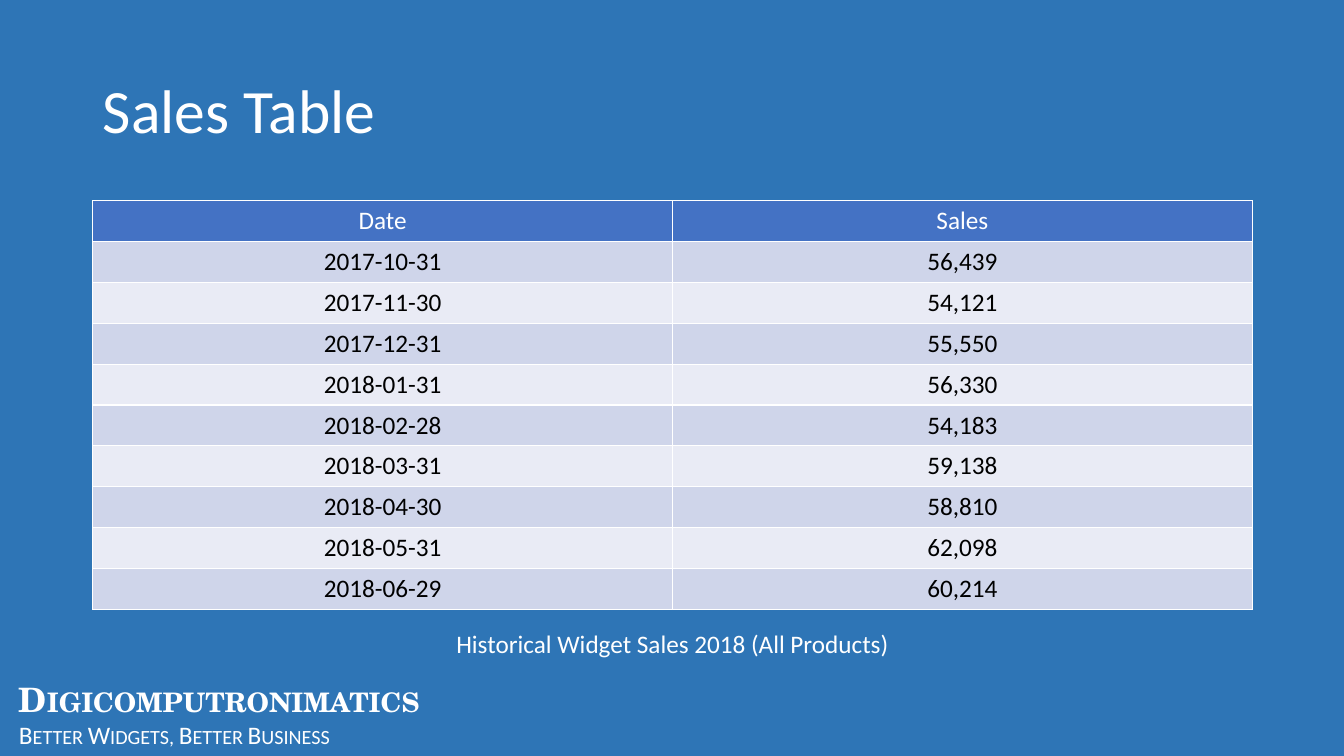
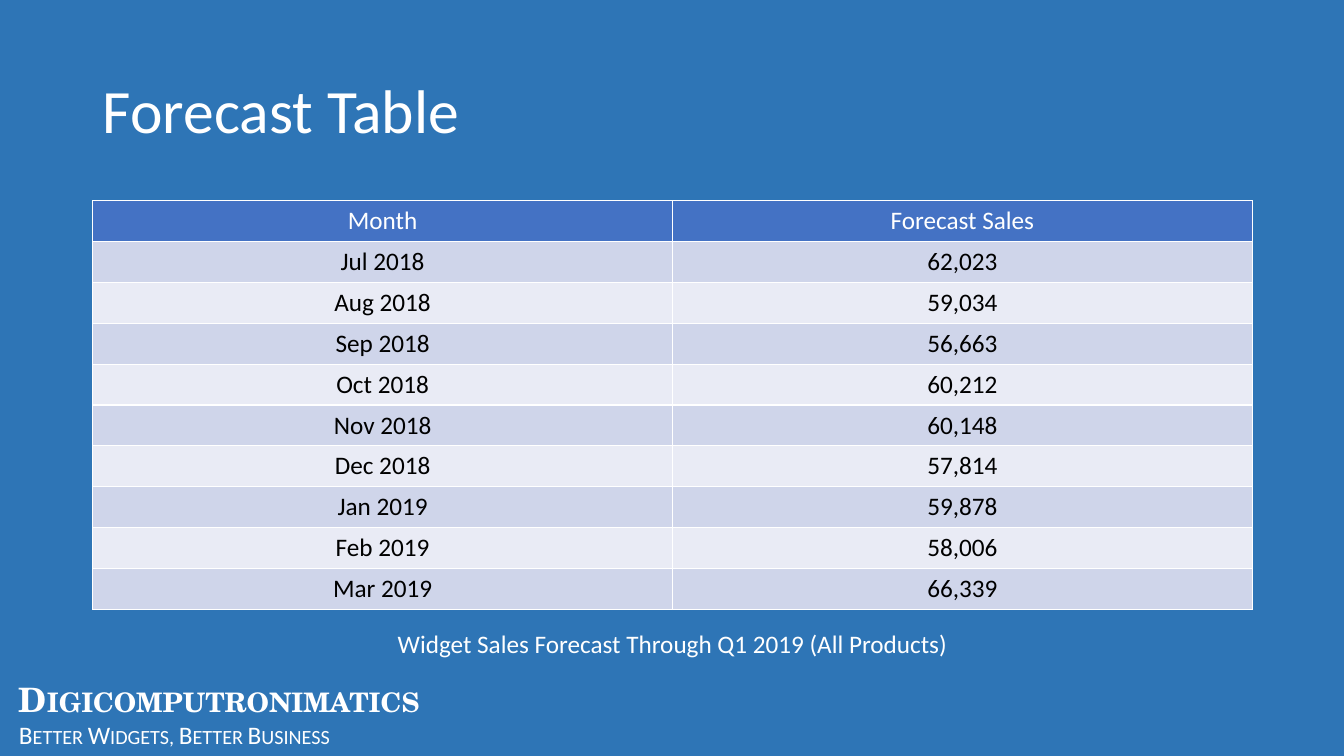
from dataclasses import dataclass

from pptx import Presentation
from pptx.dml.color import RGBColor as Rgb
from pptx.enum.text import MSO_ANCHOR as Anchor, MSO_AUTO_SIZE as AutoSize, PP_ALIGN as Align
from pptx.oxml.ns import qn
from pptx.util import Inches, Pt


# Colours, fonts and type sizes
@dataclass(frozen=True)
class Theme:
    background: Rgb = Rgb.from_string("2E75B6")
    light: Rgb = Rgb.from_string("FFFFFF")
    dark: Rgb = Rgb.from_string("000000")
    header: Rgb = Rgb.from_string("4472C4")
    bands: tuple = (Rgb.from_string("CFD5EA"), Rgb.from_string("E9EBF5"))
    font: str = "Calibri"
    brand_font: str = "TeX Gyre Schola"
    title_size: Pt = Pt(44)
    brand_size: Pt = Pt(24)
    body_size: Pt = Pt(18)


LEFT, WIDTH = Inches(0.92), Inches(11.5)
ROW_HEIGHT = Inches(0.4)


class SalesDeck:
    def __init__(self, theme):
        self.theme = theme
        self.deck = Presentation()
        self.deck.slide_width, self.deck.slide_height = Inches(13.33), Inches(7.5)
        self.layout = self.deck.slide_layouts.get_by_name("Title Only")
        fill = self.deck.slide_master.background.fill
        fill.solid()
        fill.fore_color.rgb = theme.background
        self.page = None

    def style(self, font, size, color=None, name=None, bold=False):
        font.name = name or self.theme.font
        font.size = size
        font.bold = bold
        font.color.rgb = color or self.theme.light

    def add_page(self, title):
        first = self.page is None
        self.page = self.deck.slides.add_slide(self.layout)
        if first:
            self.add_brand_to_layout()
        self.add_title(title)

    def add_text_box(self, left, top, width, height):
        box = self.page.shapes.add_textbox(left, top, width, height)
        box.text_frame.word_wrap = True
        return box

    def add_brand_to_layout(self):
        box = self.add_text_box(Inches(0.09), Inches(6.69), Inches(6.84), Inches(0.81))
        box.text_frame.auto_size = AutoSize.SHAPE_TO_FIT_TEXT
        para = box.text_frame.paragraphs[0]
        name = para.add_run()
        name.text = "Digicomputronimatics"
        self.style(name.font, self.theme.brand_size, name=self.theme.brand_font, bold=True)
        para.add_line_break()
        slogan = para.add_run()
        slogan.text = "Better Widgets, Better Business"
        self.style(slogan.font, self.theme.body_size)
        for properties in box.element.iter(qn("a:rPr")):
            properties.set("cap", "small")
        # Every page of this layout shows the brand
        self.layout.shapes.element.append(box.element)

    def add_title(self, text):
        title = self.page.shapes.title
        title.left, title.top = LEFT, Inches(0.4)
        title.width, title.height = WIDTH, Inches(1.45)
        title.text_frame.text = text
        title.text_frame.vertical_anchor = Anchor.MIDDLE
        para = title.text_frame.paragraphs[0]
        para.alignment = Align.LEFT
        para.line_spacing = 0.9
        self.style(para.font, self.theme.title_size)

    def add_table(self, headings, records):
        rows = [headings] + [(label, f"{value:,}") for label, value in records]
        table = self.page.shapes.add_table(
            len(rows), len(headings), LEFT, Inches(1.99), WIDTH, ROW_HEIGHT * len(rows)
        ).table
        for row_index, row in enumerate(rows):
            is_header = row_index == 0
            fill = self.theme.header if is_header else self.theme.bands[(row_index - 1) % 2]
            color = self.theme.light if is_header else self.theme.dark
            for column_index, text in enumerate(row):
                cell = table.cell(row_index, column_index)
                cell.fill.solid()
                cell.fill.fore_color.rgb = fill
                cell.text = text
                para = cell.text_frame.paragraphs[0]
                para.alignment = Align.CENTER
                self.style(para.font, self.theme.body_size, color)

    def add_caption(self, text):
        box = self.add_text_box(LEFT, Inches(6.18), WIDTH, Inches(0.56))
        para = box.text_frame.paragraphs[0]
        para.text = text
        para.alignment = Align.CENTER
        self.style(para.font, self.theme.body_size)


# Slide content: title, headings, records, caption
PAGES = [
    (
        "Sales Table",
        ("Date", "Sales"),
        [
            ("2017-10-31", 56439), ("2017-11-30", 54121), ("2017-12-31", 55550),
            ("2018-01-31", 56330), ("2018-02-28", 54183), ("2018-03-31", 59138),
            ("2018-04-30", 58810), ("2018-05-31", 62098), ("2018-06-29", 60214),
        ],
        "Historical Widget Sales 2018 (All Products)",
    ),
    (
        "Forecast Table",
        ("Month", "Forecast Sales"),
        [
            ("Jul 2018", 62023), ("Aug 2018", 59034), ("Sep 2018", 56663),
            ("Oct 2018", 60212), ("Nov 2018", 60148), ("Dec 2018", 57814),
            ("Jan 2019", 59878), ("Feb 2019", 58006), ("Mar 2019", 66339),
        ],
        "Widget Sales Forecast Through Q1 2019 (All Products)",
    ),
]


def main():
    sales = SalesDeck(Theme())
    for title, headings, records, caption in PAGES:
        sales.add_page(title)
        sales.add_table(headings, records)
        sales.add_caption(caption)
    sales.deck.save("out.pptx")


if __name__ == "__main__":
    main()
